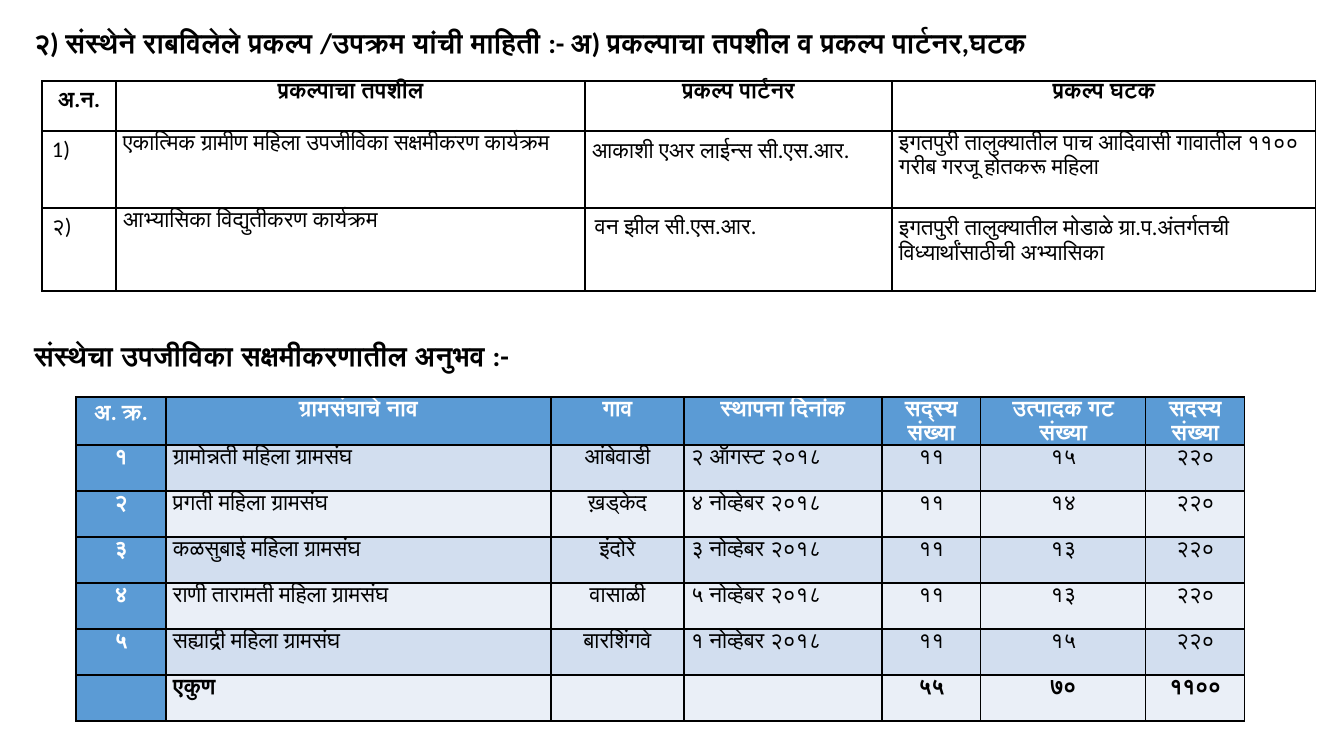
"""Build a slide listing an organisation's projects and its village federations."""
import pptx
import pptx.util
import pptx.dml.color
import pptx.enum.text
import pptx.oxml

THEME = {
    "font": "Calibri", "heading": 20, "table": 16, "border": 1,
    "text": "000000", "header_text": "FFFFFF", "line": "000000",
    "accent": "5B9BD5", "bands": ("D2DEEF", "EAEFF7"),
}
SPACING = 1.07
LEFT = pptx.enum.text.PP_ALIGN.LEFT
CENTER = pptx.enum.text.PP_ALIGN.CENTER
RGB = pptx.dml.color.RGBColor.from_string
NS = 'xmlns:a="http://schemas.openxmlformats.org/drawingml/2006/main"'


def px(n):
    return round(n * 914400 / 100.8)


def write(p, text, size, color, bold, align, spacing):
    p.alignment = align
    p.line_spacing = spacing
    p.space_before = pptx.util.Pt(0)
    r = p.add_run()
    r.text = text
    r.font.name = THEME["font"]
    r.font.size = pptx.util.Pt(size)
    r.font.bold = bold
    r.font.color.rgb = RGB(color)


prs = pptx.Presentation()
prs.slide_width, prs.slide_height = px(1344), px(756)
s = prs.slides.add_slide(prs.slide_layouts[1])

headings = [
    (24, "२) संस्थेने राबविलेले प्रकल्प /उपक्रम यांची माहिती :- अ) प्रकल्पाचा तपशील व प्रकल्प पार्टनर,घटक"),
    (337, "संस्थेचा उपजीविका सक्षमीकरणातील अनुभव :-"),
]
for sp, (top, text) in zip(s.placeholders, headings):
    sp.left, sp.top, sp.width, sp.height = px(24), px(top), px(1292), px(40)
    tf = sp.text_frame
    tf.word_wrap = True
    tf.auto_size = pptx.enum.text.MSO_AUTO_SIZE.NONE
    tf.vertical_anchor = pptx.enum.text.MSO_ANCHOR.MIDDLE
    tf.margin_top = tf.margin_bottom = 0
    p = tf.paragraphs[0]
    pPr = p._p.get_or_add_pPr()
    pPr.set("marL", "0")
    pPr.set("indent", "0")
    pPr.append(pptx.oxml.parse_xml(f"<a:buNone {NS}/>"))
    write(p, text, THEME["heading"], THEME["text"], True, LEFT, 0.9)

projects = [
    ["अ.न.", "प्रकल्पाचा तपशील", "प्रकल्प पार्टनर", "प्रकल्प घटक"],
    ["1)", "एकात्मिक ग्रामीण महिला उपजीविका सक्षमीकरण कार्यक्रम",
     "आकाशी एअर लाईन्स सी.एस.आर.",
     "इगतपुरी तालुक्यातील पाच आदिवासी गावातील ११०० गरीब गरजू होतकरू महिला"],
    ["२)", "आभ्यासिका विद्युतीकरण कार्यक्रम", "वन झील सी.एस.आर.",
     "इगतपुरी तालुक्यातील मोडाळे ग्रा.प.अंतर्गतची विध्यार्थांसाठीची अभ्यासिका"],
]
project_tops = [[5, 0, 0, 0], [5, 0, 4, 0], [5, 0, 5, 4]]

federations = [
    ["अ. क्र.", "ग्रामसंघाचे नाव", "गाव", "स्थापना दिनांक", "सद्स्य\nसंख्या",
     "उत्पादक गट संख्या", "सदस्य संख्या"],
    ["१", "ग्रामोन्नती महिला ग्रामसंघ", "आंबेवाडी", "२ ऑगस्ट २०१८", "११", "१५", "२२०"],
    ["२", "प्रगती महिला ग्रामसंघ", "ख़ड्केद", "४ नोव्हेबर २०१८", "११", "१४", "२२०"],
    ["३", "कळसुबाई महिला ग्रामसंघ", "इंदोरे", "३ नोव्हेबर २०१८", "११", "१३", "२२०"],
    ["४", "राणी तारामती महिला ग्रामसंघ", "वासाळी", "५ नोव्हेबर २०१८", "११", "१३", "२२०"],
    ["५", "सह्याद्री महिला ग्रामसंघ", "बारशिंगवे", "१ नोव्हेबर २०१८", "११", "१५", "२२०"],
    ["", "एकुण", "", "", "५५", "७०", "११००"],
]

tables = [
    (42, 81, [74, 469, 307, 424], [50, 77, 83], projects, False),
    (76, 397, [90, 385, 133, 198, 99, 165, 99], [48] + [46] * 6, federations, True),
]
for left, top, widths, heights, rows, banded in tables:
    frame = s.shapes.add_table(len(rows), len(widths), px(left), px(top),
                               px(sum(widths)), px(sum(heights)))
    table = frame.table
    table.first_row = table.horz_banding = False
    for column, width in zip(table.columns, widths):
        column.width = px(width)
    for i, (row, height) in enumerate(zip(rows, heights)):
        table.rows[i].height = px(height)
        for j, text in enumerate(row):
            cell = table.cell(i, j)
            header = i == 0
            accent = banded and (header or j == 0)
            total = banded and i == len(rows) - 1
            if banded:
                cell.fill.solid()
                fill = THEME["accent"] if accent else THEME["bands"][(i - 1) % 2]
                cell.fill.fore_color.rgb = RGB(fill)
                centered = header or j not in (1, 3)
                inset, spacing = 0, SPACING
            else:
                cell.fill.background()
                centered = header
                inset = project_tops[i][j]
                spacing = 1.0 if header or inset == 5 else SPACING
            cell.margin_left = cell.margin_right = px(10 if inset == 5 else 7)
            cell.margin_top, cell.margin_bottom = px(inset), 0
            for n, line in enumerate(text.split("\n") if text else []):
                tf = cell.text_frame
                p = tf.add_paragraph() if n else tf.paragraphs[0]
                write(p, line, THEME["table"], THEME["header_text" if accent else "text"],
                      header or accent or total, CENTER if centered else LEFT, spacing)
            tcPr = cell._tc.get_or_add_tcPr()
            for n, side in enumerate("LRTB"):
                tcPr.insert(n, pptx.oxml.parse_xml(
                    f'<a:ln{side} {NS} w="{pptx.util.Pt(THEME["border"])}"><a:solidFill>'
                    f'<a:srgbClr val="{THEME["line"]}"/></a:solidFill></a:ln{side}>'))

prs.save("out.pptx")
